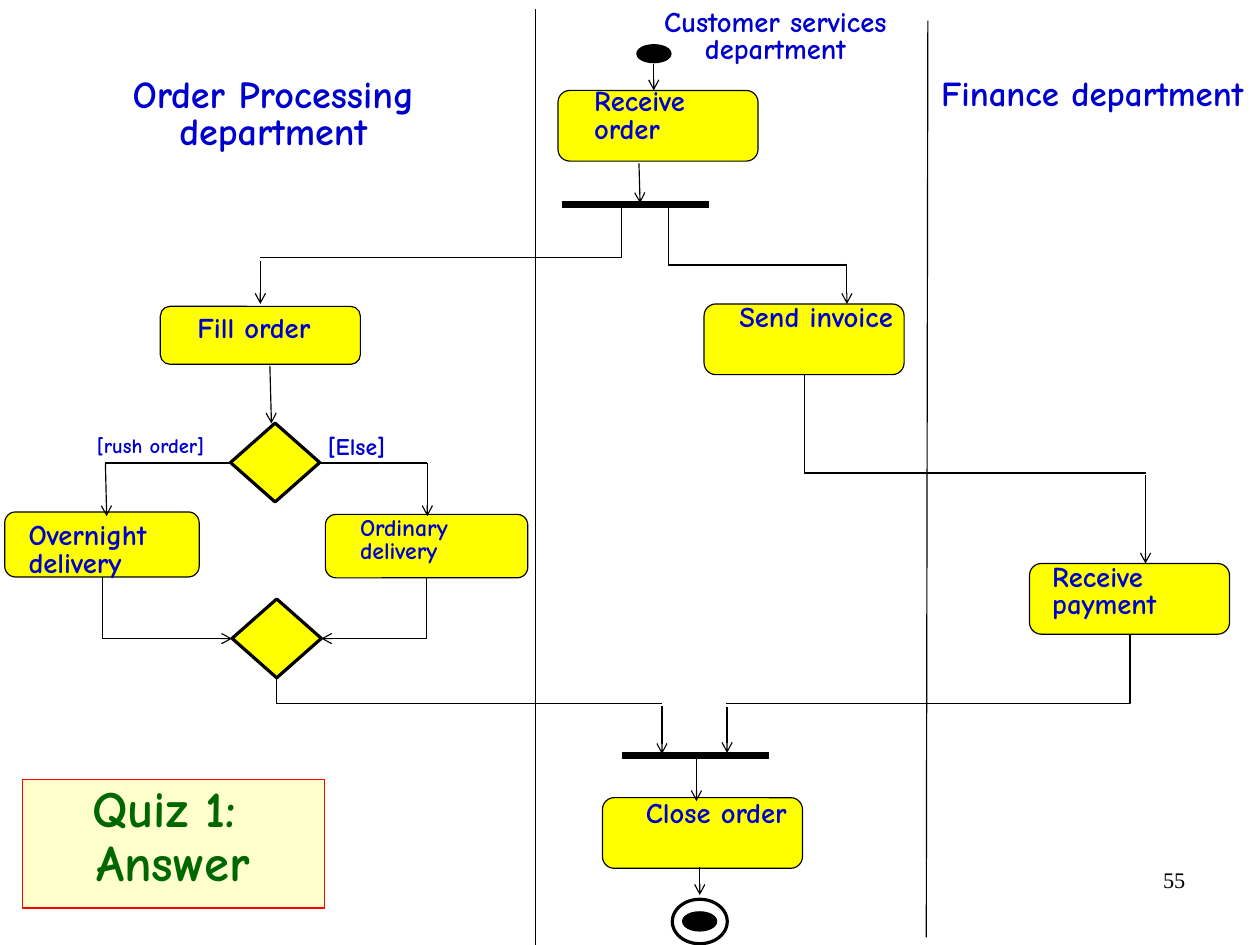
"""Builds the order handling activity diagram with three swimlanes."""
import pptx
import pptx.util
import pptx.dml.color
import pptx.enum.shapes
import pptx.enum.text
from lxml import etree
from pptx.oxml.ns import qn

Pt = pptx.util.Pt
SHAPE = pptx.enum.shapes.MSO_SHAPE
CONNECTOR = pptx.enum.shapes.MSO_CONNECTOR
ALIGN = pptx.enum.text.PP_ALIGN
ANCHOR = pptx.enum.text.MSO_ANCHOR
COLORS = {"ink": "000000", "node": "FFFF00", "label": "0000CC", "paper": "FFFFFF",
          "quiz_fill": "FFFFCC", "quiz_line": "FF0000", "quiz_text": "006600"}
FONT = "Comic Neue"
LABEL_WIDTH = 113.04

ACTIVITIES = [
    ("Receive order", (351.5, 57, 126, 44.5), (366.5, 52.5), 18),
    ("Send invoice", (443.5, 191.5, 126, 44.5), (458, 188.5), 18),
    ("Receive payment", (648.5, 355, 126, 44.5), (655, 352), 18),
    ("Close order", (379.5, 502.5, 126, 44.5), (399, 501), 18),
    ("Fill order", (101, 193, 126, 36.5), (116.5, 195.6), 18),
    ("Ordinary delivery", (205, 324, 127.5, 40), (219, 322.5), 15),
    ("Overnight delivery", (3, 322.5, 122.5, 41), (10.2, 326), 18),
]
DECISIONS = [(145.2, 266.5, 56.2, 49.7), (146.2, 377.3, 56.2, 49.7)]
LANES = [((337.5, 6), (337.5, 595.2)), ((584.5, 13), (583.5, 590.5))]
BARS = [((354, 128.7), (446.5, 128.7)), ((391.8, 476), (484.5, 476))]
PLAIN_LINES = [((146, 291.6), (66.4, 291.6)), ((269.2, 291.6), (199, 291.6))]
ARROWS = [
    ((170, 230.3), (171, 266.8)),
    ((66.4, 291.6), (67.2, 325.2)),
    ((269.2, 291.6), (269.2, 325.2)),
    ((417, 445), (417, 475)),
    ((458, 445.5), (458, 474.3)),
    ((721.6, 299.5), (721.6, 355)),
    ((164, 164.5), (164, 191.5)),
    ((533.5, 166), (533.5, 191.5)),
    ((402.5, 103), (403.2, 128)),
    ((438.7, 476), (438.7, 504.7)),
    ((440.8, 546), (440.8, 563.8)),
    ((411.8, 40.5), (411.8, 57)),
]
ELBOWS = [
    ((268.8, 363.8), (202.4, 402.3), True),
    ((64.4, 363.8), (146.2, 402.3), True),
    ((174.3, 427), (417, 443), False),
    ((711.8, 399.7), (457.5, 443), False),
    ((507, 236.2), (721.6, 298), False),
    ((421, 128.5), (533.5, 167), False),
    ((391.5, 128.5), (164, 162.3), False),
]
CAPTIONS = [
    ("[rush order]", (53.3, 271.4, 108), 13, ALIGN.LEFT),
    ("[Else]", (198.7, 271.4, 88.5), 15, ALIGN.LEFT),
    ("Order Processing department", (59.8, 46, 224.6), 24, ALIGN.CENTER),
    ("Finance department", (582.2, 46, 211.7), 22, ALIGN.CENTER),
    ("Customer services department", (379.3, 2.4, 218.2), 18, ALIGN.CENTER),
]


def rgb(name):
    """Return the named colour."""
    return pptx.dml.color.RGBColor.from_string(COLORS[name])


def set_font(paragraph, size, color, name=FONT, bold=True):
    """Set the font of a whole paragraph."""
    paragraph.font.name = name
    paragraph.font.size = Pt(size)
    paragraph.font.bold = bold
    paragraph.font.color.rgb = rgb(color)


def add_node(slide, kind, box, fill="node", line="ink", width=0.75):
    """Add a filled and outlined shape."""
    shape = slide.shapes.add_shape(kind, *map(Pt, box))
    shape.shadow.inherit = False
    shape.fill.solid()
    shape.fill.fore_color.rgb = rgb(fill)
    shape.line.color.rgb = rgb(line)
    shape.line.width = Pt(width)
    return shape


def add_flow(slide, start, end, arrow=False, width=0.75, kind=CONNECTOR.STRAIGHT):
    """Add a connector, with an open arrowhead at its end if asked."""
    flow = slide.shapes.add_connector(kind, *map(Pt, start + end))
    flow.line.color.rgb = rgb("ink")
    flow.line.width = Pt(width)
    properties = flow._element.spPr
    if arrow:
        etree.SubElement(properties.find(qn("a:ln")), qn("a:tailEnd"), type="arrow")
    etree.SubElement(properties, qn("a:effectLst"))
    return flow


def add_elbow(slide, start, end, arrow):
    """Add a connector that runs vertically and then horizontally."""
    flow = add_flow(slide, start, end, arrow, kind=CONNECTOR.ELBOW)
    geometry = flow._element.spPr.find(qn("a:prstGeom"))
    adjustments = geometry.find(qn("a:avLst"))
    etree.SubElement(adjustments, qn("a:gd"), name="adj1", fmla="val 0")


def add_label(slide, text, box, size, align=ALIGN.LEFT):
    """Add a tightly spaced label at left, top and width."""
    left, top, width = box
    shape = slide.shapes.add_textbox(Pt(left), Pt(top), Pt(width), Pt(size * 2.4))
    frame = shape.text_frame
    frame.word_wrap = True
    frame.margin_left = frame.margin_right = Pt(7.8)
    frame.margin_top = frame.margin_bottom = Pt(4)
    paragraph = frame.paragraphs[0]
    paragraph.text = text
    paragraph.alignment = align
    paragraph.line_spacing = 0.8
    set_font(paragraph, size, "label")


def add_quiz_title(slide):
    """Add the framed quiz title."""
    shape = add_node(slide, SHAPE.RECTANGLE, (14.2, 491, 190, 81), "quiz_fill", "quiz_line")
    frame = shape.text_frame
    frame.vertical_anchor = ANCHOR.TOP
    frame.text = "Quiz 1: \nAnswer"
    for paragraph in frame.paragraphs:
        paragraph.alignment = ALIGN.CENTER
        paragraph.line_spacing = 0.88
        set_font(paragraph, 32, "quiz_text")


def add_page_number(slide):
    """Add the page number."""
    shape = slide.shapes.add_textbox(Pt(568.8), Pt(542.2), Pt(185), Pt(41))
    shape.text_frame.word_wrap = True
    paragraph = shape.text_frame.paragraphs[0]
    paragraph.text = "55"
    paragraph.alignment = ALIGN.RIGHT
    set_font(paragraph, 14, "ink", "Times New Roman", False)


def main():
    """Build and save the slide."""
    presentation = pptx.Presentation()
    presentation.slide_width = Pt(793.7)
    presentation.slide_height = Pt(595.28)
    slide = presentation.slides.add_slide(presentation.slide_layouts[6])
    add_page_number(slide)
    for start, end in LANES + PLAIN_LINES:
        add_flow(slide, start, end)
    for _, box, _, _ in ACTIVITIES:
        add_node(slide, SHAPE.ROUNDED_RECTANGLE, box)
    for box in DECISIONS:
        add_node(slide, SHAPE.FLOWCHART_DECISION, box, width=2)
    for start, end in BARS:
        add_flow(slide, start, end, width=4.5)
    for start, end, arrow in ELBOWS:
        add_elbow(slide, start, end, arrow)
    for start, end in ARROWS:
        add_flow(slide, start, end, arrow=True)
    add_node(slide, SHAPE.OVAL, (423.5, 566.5, 34.6, 28), "paper", width=2)
    for box in [(430.6, 575, 20.2, 10.8), (401.8, 28.8, 20.2, 10.1)]:
        add_node(slide, SHAPE.OVAL, box, "ink", width=2)
    for text, _, position, size in ACTIVITIES:
        add_label(slide, text, position + (LABEL_WIDTH,), size)
    for caption in CAPTIONS:
        add_label(slide, *caption)
    add_quiz_title(slide)
    presentation.save("out.pptx")


if __name__ == "__main__":
    main()
